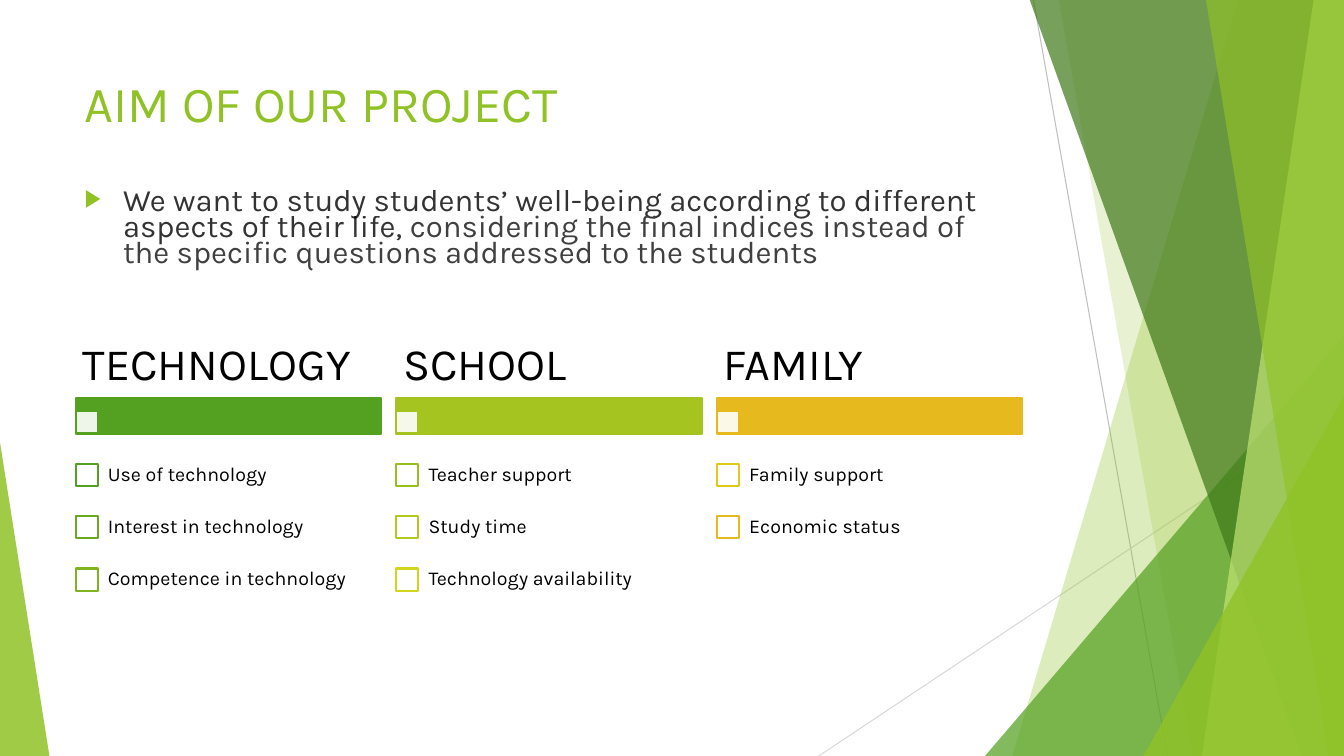
from lxml import etree
from pptx import Presentation
from pptx.dml.color import RGBColor
from pptx.enum.shapes import MSO_CONNECTOR, MSO_SHAPE
from pptx.enum.text import MSO_ANCHOR, MSO_AUTO_SIZE, PP_ALIGN
from pptx.oxml.ns import qn
from pptx.util import Inches, Pt

STRAIGHT = MSO_CONNECTOR.STRAIGHT
RECT, TRI = MSO_SHAPE.RECTANGLE, MSO_SHAPE.ISOSCELES_TRIANGLE
TOP, MIDDLE = MSO_ANCHOR.TOP, MSO_ANCHOR.MIDDLE
FIXED, LEFT = MSO_AUTO_SIZE.NONE, PP_ALIGN.LEFT
FONT = "Karla"
WIDE, HIGH = 13.33, 7.5

HEX = {
    "lime": "90C226", "green": "54A021", "dark": "3F7819", "pale": "C0E474",
    "black": "000000", "gray": "404040", "white": "FFFFFF",
    "rule": "BFBFBF", "faint": "D9D9D9",
}
TITLE = "AIM OF OUR PROJECT"
BODY = [
    ("We want to study students’ well-being according to different aspects of their life, ", "black", 80),
    ("considering the final indices instead of the specific questions addressed to the students", "gray", 100),
]
TOPICS = [
    ("TECHNOLOGY", "54A021", [("Use of technology", "54A021"),
                              ("Interest in technology", "68AA21"),
                              ("Competence in technology", "7EB420")]),
    ("SCHOOL", "A5C41F", [("Teacher support", "97BF1F"),
                          ("Study time", "B3C91E"),
                          ("Technology availability", "D2D41D")]),
    ("FAMILY", "E6B91E", [("Family support", "DFCA1C"),
                          ("Economic status", "E6B91E")]),
]
RULES = [((10.25, 0), (11.58, HIGH), "rule"), ((WIDE, 4.03), (8.12, HIGH), "faint")]
SHARDS = [
    ("band", 12.28, 10.04, "lime", 30),
    ("band", 10.5, 11.83, "lime", 20),
    ("peak", (9.77, 3.33, 3.56, 4.17), 1, "green", 72),
    ("band", 10.21, 12.91, "dark", 70),
    ("band", 13.03, 11.92, "pale", 70),
    ("band", 11.96, 13.18, "lime", 65),
    ("peak", (11.34, 3.93, 1.99, 3.57), 1, "lime", 80),
    ("peak", (0, 4.39, 0.49, 3.11), 0, "lime", 85),
]
COL, STEP, WIDTH = 0.75, 3.18, 3.03
HEAD, BAR, LIST, ROW = 3.31, 3.95, 4.45, 0.52
BOX = 0.22

deck = Presentation()
deck.slide_width, deck.slide_height = Inches(WIDE), Inches(HIGH)
slide = deck.slides.add_slide(deck.slide_layouts[1])
shapes = slide.shapes


def rgb(name):
    return RGBColor.from_string(HEX.get(name, name))


def paint(fill, node, color, alpha=100):
    fill.solid()
    fill.fore_color.rgb = rgb(color)
    if alpha < 100:
        tone = next(node.iter(qn("a:srgbClr")))
        etree.SubElement(tone, qn("a:alpha")).set("val", str(alpha * 1000))


def coat(shape, color, alpha=100, edge=None):
    shape.shadow.inherit = False
    paint(shape.fill, shape._element.spPr, color, alpha)
    if edge:
        shape.line.color.rgb = rgb(edge)
        shape.line.width = Pt(1.5)
    else:
        shape.line.fill.background()


def place(shape, *area):
    shape.left, shape.top, shape.width, shape.height = map(Inches, area)


def block(area, color, edge, alpha=100):
    coat(shapes.add_shape(RECT, *map(Inches, area)), color, alpha, edge)


def write(para, text, size, color, alpha=100):
    run = para.add_run()
    run.text = text
    run.font.name, run.font.size = FONT, Pt(size)
    paint(run.font.fill, run._r, color, alpha)


def label(area, text, size, side, end):
    frame = shapes.add_textbox(*map(Inches, area)).text_frame
    frame.word_wrap = True
    frame.vertical_anchor = MIDDLE
    frame.margin_left = frame.margin_right = Inches(side)
    frame.margin_top = frame.margin_bottom = Inches(end)
    para = frame.paragraphs[0]
    para.line_spacing = 0.9
    write(para, text, size, "black")


def holder(shape, *area):
    place(shape, *area)
    shapes._spTree.append(shape._element)
    frame = shape.text_frame
    frame.auto_size, frame.vertical_anchor = FIXED, TOP
    frame.word_wrap = True
    para = frame.paragraphs[0]
    para.alignment = LEFT
    return para


for start, end, color in RULES:
    rule = shapes.add_connector(STRAIGHT, *map(Inches, start + end))
    rule.line.color.rgb = rgb(color)
    rule.line.width = Pt(0.75)
    etree.SubElement(rule._element.spPr, qn("a:effectLst"))

for kind, place_at, foot, color, alpha in SHARDS:
    if kind == "band":
        path = shapes.build_freeform(Inches(place_at), Inches(-0.01))
        path.add_line_segments(
            [(Inches(x), Inches(y)) for x, y in ((WIDE, -0.01), (WIDE, HIGH), (foot, HIGH))])
        shard = path.convert_to_shape()
    else:
        shard = shapes.add_shape(TRI, *map(Inches, place_at))
        shard.adjustments[0] = foot
    coat(shard, color, alpha)

write(holder(shapes.title, 0.74, 0.67, 9.4, 1.44), TITLE, 36, "lime")

para = holder(slide.placeholders[1], 0.74, 1.84, 9.4, 0.96)
para.line_spacing = 0.7
para.space_before, para.space_after = Pt(10), Pt(6)
props = para._p.get_or_add_pPr()
props.set("marL", str(Inches(0.38)))
props.set("indent", str(-Inches(0.38)))
tint = etree.SubElement(props, qn("a:buClr"))
etree.SubElement(tint, qn("a:srgbClr")).set("val", HEX["lime"])
etree.SubElement(props, qn("a:buSzPct")).set("val", "80000")
etree.SubElement(props, qn("a:buChar")).set("char", "▶")
for text, color, alpha in BODY:
    write(para, text, 22.2, color, alpha)

for col, (topic, color, items) in enumerate(TOPICS):
    x = COL + col * STEP
    block((x, BAR, WIDTH, 0.36), color, color)
    block((x, BAR + 0.13, BOX, BOX), "white", color, 90)
    label((x, HEAD, WIDTH, BAR - HEAD), topic, 32, 0.07, 0.04)
    for row, (item, edge) in enumerate(items):
        y = LIST + row * ROW
        block((x, y + (ROW - BOX) / 2, BOX, BOX), "white", edge)
        label((x + 0.21, y, WIDTH - 0.21, ROW), item, 14, 0.11, 0.11)

deck.save("out.pptx")
